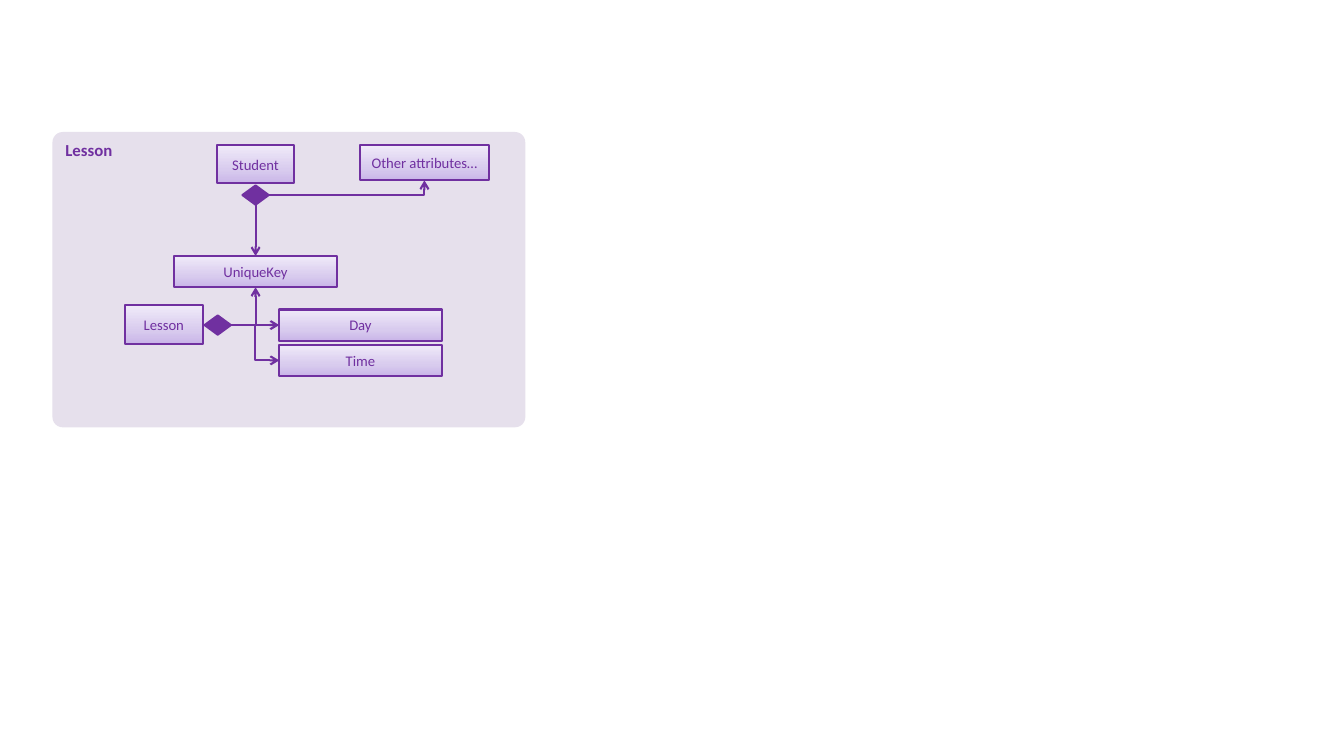
from copy import deepcopy
from pptx import Presentation
from pptx.dml.color import RGBColor
from pptx.enum import shapes, text
from pptx.oxml import ns, parse_xml
from pptx.util import Inches, Pt

PURPLE = RGBColor(0x70, 0x30, 0xA0)
PANEL = RGBColor(0xE6, 0xE0, 0xEC)
STOPS = [
    (0, RGBColor(0xC9, 0xB5, 0xE8)),
    (0.35, RGBColor(0xD8, 0xCB, 0xEE)),
    (1, RGBColor(0xF0, 0xEA, 0xF9)),
]
FONT = "Calibri"
KIND = shapes.MSO_SHAPE
LINK = shapes.MSO_CONNECTOR


def write(shape, words, size=10.5, bold=False, align=text.PP_ALIGN.CENTER,
          anchor=text.MSO_ANCHOR.MIDDLE):
    frame = shape.text_frame
    frame.word_wrap = True
    frame.vertical_anchor = anchor
    para = frame.paragraphs[0]
    para.text = words
    para.alignment = align
    para.font.name = FONT
    para.font.size = Pt(size)
    para.font.bold = bold
    para.font.color.rgb = PURPLE


def draw(slide, kind, x, y, w, h, fill=PURPLE):
    shape = slide.shapes.add_shape(kind, Inches(x), Inches(y), Inches(w), Inches(h))
    shape.shadow.inherit = False
    shape.fill.solid()
    shape.fill.fore_color.rgb = fill
    shape.line.color.rgb = PURPLE
    shape.line.width = Pt(1.5)
    return shape


def add_node(slide, words, x, y, w, h):
    node = draw(slide, KIND.RECTANGLE, x, y, w, h)
    node.fill.gradient()
    node.fill.gradient_angle = 90
    stops = node._element.spPr.find(".//" + ns.qn("a:gsLst"))
    stops.append(deepcopy(stops[0]))
    for stop, (place, color) in zip(node.fill.gradient_stops, STOPS):
        stop.position = place
        stop.color.rgb = color
    write(node, words)
    return node


def add_gem(slide, x, y):
    return draw(slide, KIND.FLOWCHART_DECISION, x, y, 0.26, 0.19)


def site(shape, side):
    x = shape.left + (shape.width // 2, 0, shape.width // 2, shape.width)[side]
    y = shape.top + (0, shape.height // 2, shape.height, shape.height // 2)[side]
    return x, y


def link(slide, start, out, end, into, bend=None):
    kind = LINK.ELBOW if bend else LINK.STRAIGHT
    line = slide.shapes.add_connector(kind, *site(start, out), *site(end, into))
    if bend:
        line._element.spPr.prstGeom.set("prst", bend)
    else:
        line.begin_connect(start, out)
        line.end_connect(end, into)
    line.line.color.rgb = PURPLE
    line.line.width = Pt(1.5)
    xmlns = ns.nsdecls("a")
    line.line._get_or_add_ln().append(parse_xml(f'<a:tailEnd {xmlns} type="arrow"/>'))
    line._element.spPr.append(parse_xml(f"<a:effectLst {xmlns}/>"))


def add_panel(slide, x, y, w, h):
    panel = draw(slide, KIND.ROUNDED_RECTANGLE, x, y, w, h, fill=PANEL)
    panel.adjustments[0] = 0.035
    panel.line.fill.background()
    write(panel, "Lesson", size=12, bold=True, align=text.PP_ALIGN.LEFT,
          anchor=text.MSO_ANCHOR.TOP)

    lesson = add_node(slide, "Lesson", x + 0.72, y + 1.72, 0.77, 0.38)
    key = add_node(slide, "UniqueKey", x + 1.21, y + 1.23, 1.61, 0.31)
    day, time = [
        add_node(slide, words, x + 2.25, y + 1.76 + i * 0.35, 1.61, 0.31)
        for i, words in enumerate(["Day", "Time"])
    ]
    student = add_node(slide, "Student", x + 1.63, y + 0.13, 0.77, 0.38)
    other = add_node(slide, "Other attributes…", x + 3.05, y + 0.13, 1.28, 0.35)

    low = add_gem(slide, x + 1.51, y + 1.82)
    high = add_gem(slide, x + 1.88, y + 0.53)
    low.top = day.top + (day.height - low.height) // 2
    high.left = key.left + (key.width - high.width) // 2

    link(slide, low, 3, key, 2, bend="bentConnector2")
    link(slide, low, 3, day, 1)
    link(slide, low, 3, time, 1, bend="bentConnector3")
    link(slide, high, 2, key, 0)
    link(slide, high, 3, other, 2, bend="bentConnector2")


def main():
    deck = Presentation()
    deck.slide_width = Inches(13.33)
    deck.slide_height = Inches(7.5)
    slide = deck.slides.add_slide(deck.slide_layouts[6])
    add_panel(slide, 0.52, 1.31, 4.69, 2.93)
    deck.save("out.pptx")


if __name__ == "__main__":
    main()
